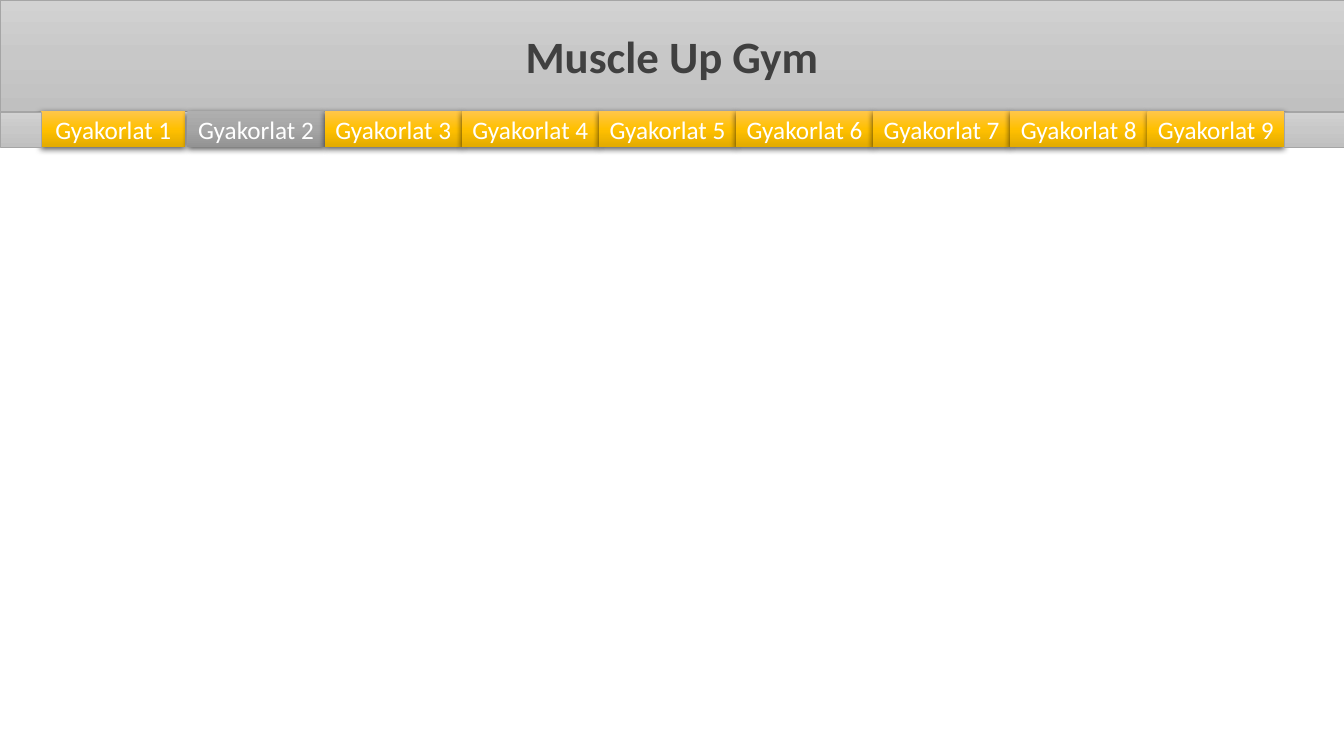
from copy import deepcopy
from dataclasses import dataclass
from typing import Optional

from lxml.etree import SubElement
from pptx import Presentation
from pptx.dml.color import RGBColor
from pptx.enum.dml import MSO_PATTERN
from pptx.enum.shapes import MSO_SHAPE
from pptx.enum.text import MSO_ANCHOR, MSO_AUTO_SIZE, PP_ALIGN
from pptx.oxml.ns import qn
from pptx.shapes.autoshape import Shape
from pptx.slide import Slide
from pptx.text.text import Font
from pptx.util import Inches, Pt

WHITE = RGBColor(0xFF, 0xFF, 0xFF)
TITLE_DARK = RGBColor(0x40, 0x40, 0x40)
TITLE_STRIPE = RGBColor(0x80, 0x80, 0x80)
BAND_LINE = RGBColor(0xA5, 0xA5, 0xA5)
BAND_COLORS = (RGBColor(0xD2, 0xD2, 0xD2), RGBColor(0xC8, 0xC8, 0xC8), RGBColor(0xC0, 0xC0, 0xC0))
GOLD_COLORS = (RGBColor(0xFF, 0xC6, 0x4B), RGBColor(0xFF, 0xC0, 0x00), RGBColor(0xE3, 0xAB, 0x00))
ACTIVE_COLORS = (RGBColor(0xAF, 0xAF, 0xAF), RGBColor(0xA5, 0xA5, 0xA5), RGBColor(0x93, 0x93, 0x93))

SLIDE_WIDTH = 13.33
TITLE_HEIGHT = 1.11
TAB_TOP = 1.1
TAB_HEIGHT = 0.36
TAB_WIDTH = 1.36
FIRST_TAB_LEFT = 0.41
FIRST_TAB_WIDTH = 1.43
SECOND_TAB_LEFT = 1.86
TAB_COUNT = 9
ACTIVE_TAB = 2
TABS_RIGHT = SECOND_TAB_LEFT + (TAB_COUNT - 1) * TAB_WIDTH

FRAME_FORMAT = {
    "word_wrap": True,
    "auto_size": MSO_AUTO_SIZE.NONE,
    "vertical_anchor": MSO_ANCHOR.MIDDLE,
    "margin_left": Inches(0.05),
    "margin_right": Inches(0.05),
}
TITLE_FONT = {"name": "Calibri", "size": Pt(32), "bold": True}
TAB_FONT = {"name": "Calibri", "size": Pt(18), "bold": False}


@dataclass(frozen=True)
class Box:
    left: float
    top: float
    width: float
    height: float
    colors: tuple[RGBColor, RGBColor, RGBColor]
    line_color: Optional[RGBColor] = None


def set_attributes(target: object, values: dict) -> None:
    for name, value in values.items():
        setattr(target, name, value)


def fill_gradient(shape: Shape, colors: tuple[RGBColor, RGBColor, RGBColor]) -> None:
    shape.fill.gradient()
    shape.fill.gradient_angle = 270
    stop_list = shape._element.spPr.find(qn("a:gradFill")).find(qn("a:gsLst"))
    stop_list.append(deepcopy(stop_list[0]))
    for stop, position, color in zip(shape.fill.gradient_stops, (0, 0.5, 1), colors):
        stop.position = position
        stop.color.rgb = color


def format_box(shape: Shape, box: Box) -> None:
    set_attributes(shape, {
        "left": Inches(box.left),
        "top": Inches(box.top),
        "width": Inches(box.width),
        "height": Inches(box.height),
    })
    fill_gradient(shape, box.colors)
    shape.shadow.inherit = False
    if box.line_color is None:
        shape.line.fill.background()
    else:
        shape.line.color.rgb = box.line_color
        shape.line.width = Pt(0.5)


def add_box(slide: Slide, box: Box) -> Shape:
    shape = slide.shapes.add_shape(MSO_SHAPE.RECTANGLE, 0, 0, 0, 0)
    format_box(shape, box)
    return shape


def write_text(shape: Shape, text: str, font_format: dict) -> Font:
    set_attributes(shape.text_frame, FRAME_FORMAT)
    paragraph = shape.text_frame.paragraphs[0]
    paragraph.alignment = PP_ALIGN.CENTER
    run = paragraph.add_run()
    run.text = text
    set_attributes(run.font, font_format)
    return run.font


def add_drop_shadow(shape: Shape) -> None:
    effects = shape._element.spPr.find(qn("a:effectLst"))
    shadow = SubElement(effects, qn("a:outerShdw"), blurRad=str(Pt(4.5)),
                        dist=str(Pt(1.5)), dir="5400000", algn="ctr", rotWithShape="0")
    color = SubElement(shadow, qn("a:srgbClr"), val="000000")
    SubElement(color, qn("a:alpha"), val="63000")


def add_title(slide: Slide) -> None:
    title = slide.shapes.title
    format_box(title, Box(0, 0, SLIDE_WIDTH, TITLE_HEIGHT, BAND_COLORS, BAND_LINE))
    fill = write_text(title, "Muscle Up Gym", TITLE_FONT).fill
    fill.patterned()
    fill.pattern = MSO_PATTERN.DARK_UPWARD_DIAGONAL
    fill.fore_color.rgb = TITLE_STRIPE
    fill.back_color.rgb = TITLE_DARK


def add_tab(slide: Slide, number: int) -> None:
    if number == 1:
        left, width = FIRST_TAB_LEFT, FIRST_TAB_WIDTH
    else:
        left, width = SECOND_TAB_LEFT + (number - 2) * TAB_WIDTH, TAB_WIDTH
    colors = ACTIVE_COLORS if number == ACTIVE_TAB else GOLD_COLORS
    tab = add_box(slide, Box(left, TAB_TOP, width, TAB_HEIGHT, colors))
    add_drop_shadow(tab)
    write_text(tab, f"Gyakorlat {number}", TAB_FONT).color.rgb = WHITE


def add_band_ends(slide: Slide) -> None:
    for left, right in ((0, FIRST_TAB_LEFT), (TABS_RIGHT, SLIDE_WIDTH)):
        add_box(slide, Box(left, TITLE_HEIGHT, right - left, 0.35, BAND_COLORS, BAND_LINE))


presentation = Presentation()
presentation.slide_width = Inches(SLIDE_WIDTH)
presentation.slide_height = Inches(7.5)
slide = presentation.slides.add_slide(presentation.slide_layouts[5])
add_title(slide)
for tab_number in range(1, TAB_COUNT + 1):
    add_tab(slide, tab_number)
add_band_ends(slide)
presentation.save("out.pptx")
